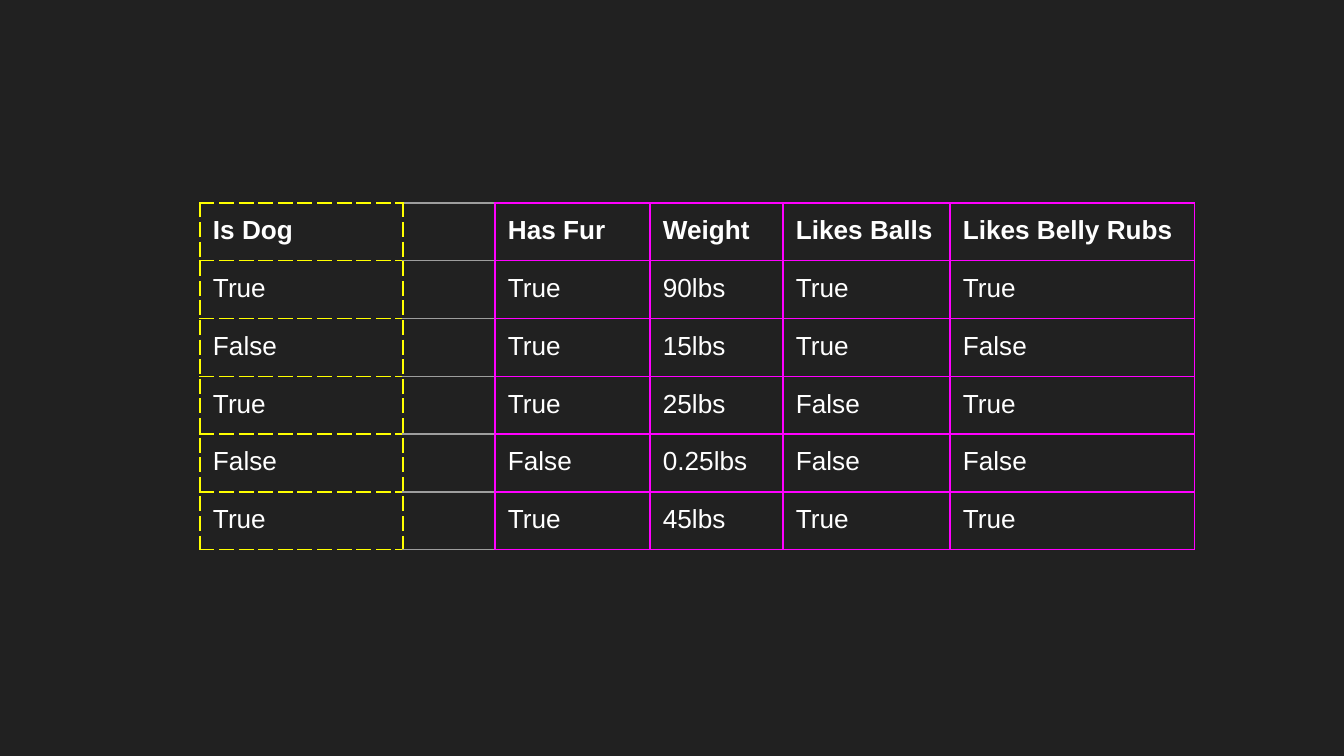
import pptx
import pptx.util
import pptx.dml.color
import pptx.oxml.ns
from lxml import etree

COLORS = {"bg": "212121", "text": "FFFFFF", "label": "FFFF00",
          "gap": "9E9E9E", "feature": "FF00FF"}
FONT = "Arial"
SIZE = 14
ROWS = [
    ["Is Dog", "", "Has Fur", "Weight", "Likes Balls", "Likes Belly Rubs"],
    ["True", "", "True", "90lbs", "True", "True"],
    ["False", "", "True", "15lbs", "True", "False"],
    ["True", "", "True", "25lbs", "False", "True"],
    ["False", "", "False", "0.25lbs", "False", "False"],
    ["True", "", "True", "45lbs", "True", "True"],
]
COL_WIDTHS = [203, 92, 155, 133, 167, 245]
ROW_HEIGHTS = [57, 57, 57, 57, 58, 57]
LEFT, TOP, PAD = 200, 203, 13

LABEL = ("label", "dash")
GAP = ("gap", "solid")
FEATURE = ("feature", "solid")
SIDES = ("L", "R", "T", "B")
BORDERS = {0: [LABEL] * 4, 1: [LABEL, FEATURE, GAP, GAP]}


def px(n):
    return pptx.util.Emu(round(n * 914400 / 134.4))


def rgb(name):
    return pptx.dml.color.RGBColor.from_string(COLORS[name])


def set_borders(cell, borders):
    qn = pptx.oxml.ns.qn
    tcPr = cell._tc.get_or_add_tcPr()
    for i, (side, (color, dash)) in enumerate(zip(SIDES, borders)):
        ln = etree.Element(qn("a:ln" + side), w=str(pptx.util.Pt(0.75)))
        fill = etree.SubElement(ln, qn("a:solidFill"))
        etree.SubElement(fill, qn("a:srgbClr"), val=COLORS[color])
        etree.SubElement(ln, qn("a:prstDash"), val=dash)
        tcPr.insert(i, ln)


def write_cell(cell, text, bold):
    cell.margin_left = cell.margin_right = px(PAD)
    cell.margin_top = cell.margin_bottom = px(PAD)
    cell.fill.background()
    p = cell.text_frame.paragraphs[0]
    if not text:
        etree.SubElement(p._p, pptx.oxml.ns.qn("a:endParaRPr"), sz=str(SIZE * 100))
        return
    r = p.add_run()
    r.text = text
    r.font.name = FONT
    r.font.size = pptx.util.Pt(SIZE)
    r.font.bold = bold
    r.font.color.rgb = rgb("text")


prs = pptx.Presentation()
prs.slide_width, prs.slide_height = px(1344), px(756)
s = prs.slides.add_slide(prs.slide_layouts[6])
s.background.fill.solid()
s.background.fill.fore_color.rgb = rgb("bg")

table = s.shapes.add_table(len(ROWS), len(COL_WIDTHS), px(LEFT), px(TOP),
                           px(sum(COL_WIDTHS)), px(sum(ROW_HEIGHTS))).table
table.first_row = table.horz_banding = False
for col, width in zip(table.columns, COL_WIDTHS):
    col.width = px(width)
for row, height in zip(table.rows, ROW_HEIGHTS):
    row.height = px(height)

for i, texts in enumerate(ROWS):
    for j, text in enumerate(texts):
        cell = table.cell(i, j)
        write_cell(cell, text, i == 0)
        set_borders(cell, BORDERS.get(j, [FEATURE] * 4))

prs.save("out.pptx")
